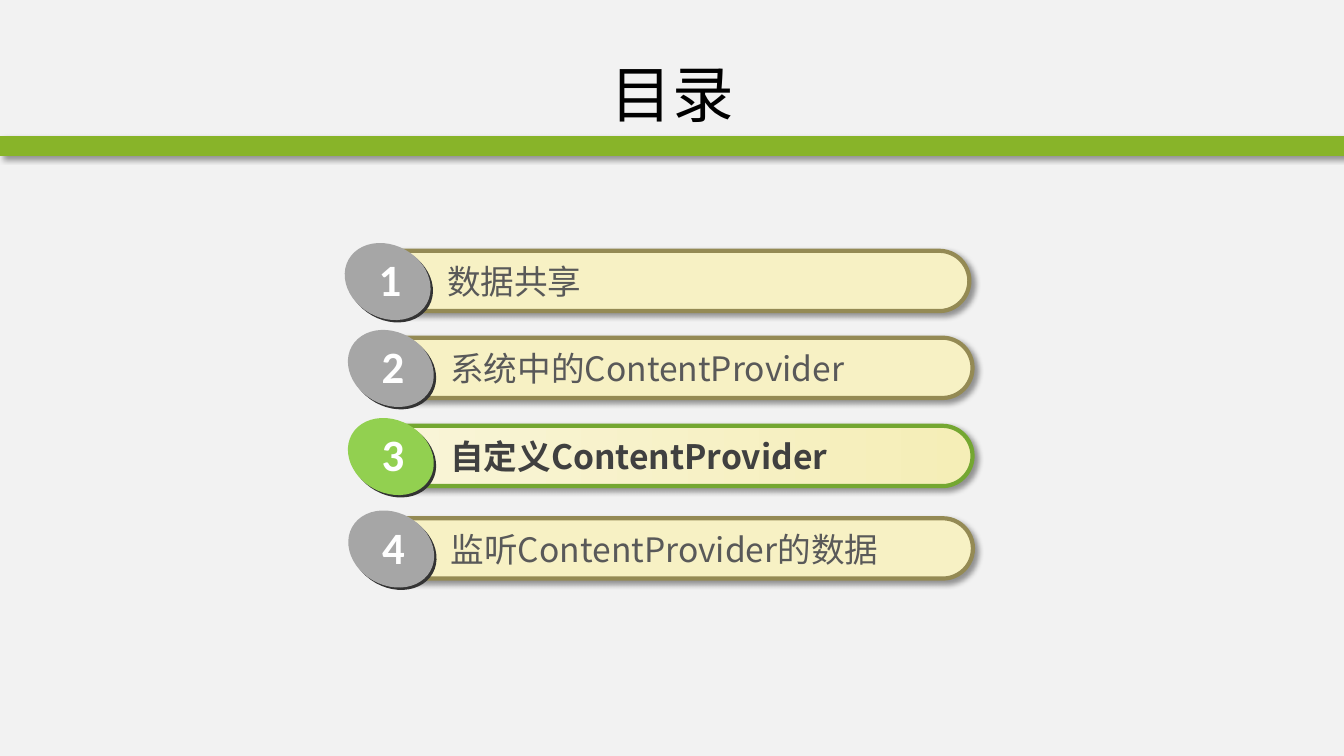
from lxml import etree
from pptx import Presentation
from pptx.dml.color import RGBColor
from pptx.enum.shapes import MSO_SHAPE as Shape
from pptx.enum.text import MSO_ANCHOR as Anchor, MSO_AUTO_SIZE as AutoSize, PP_ALIGN as Align
from pptx.oxml.ns import qn
from pptx.util import Cm, Pt

BACKGROUND = RGBColor(0xF2, 0xF2, 0xF2)
BAR_GREEN = RGBColor(0x88, 0xB4, 0x29)
CREAM = RGBColor(0xF7, 0xF1, 0xC4)
CREAM_LIGHT = RGBColor(0xF9, 0xF5, 0xD9)
CREAM_DARK = RGBColor(0xF5, 0xEE, 0xB7)
OLIVE = RGBColor(0x94, 0x8A, 0x54)
ACTIVE_LINE = RGBColor(0x74, 0xA7, 0x31)
ACTIVE_BADGE = RGBColor(0x92, 0xD0, 0x50)
BADGE_GRAY = RGBColor(0xA6, 0xA6, 0xA6)
BADGE_EDGE = RGBColor(0x33, 0x33, 0x33)
TEXT_GRAY = RGBColor(0x59, 0x59, 0x59)
TEXT_DARK = RGBColor(0x40, 0x40, 0x40)
BLACK = RGBColor(0, 0, 0)
WHITE = RGBColor(0xFF, 0xFF, 0xFF)

CHINESE_FONT = "Noto Sans CJK SC"
NORMAL = {"fill": [CREAM], "line": OLIVE, "badge": BADGE_GRAY, "text": TEXT_GRAY, "bold": False}
ACTIVE = {"fill": [CREAM_LIGHT, CREAM_DARK], "line": ACTIVE_LINE, "badge": ACTIVE_BADGE,
          "text": TEXT_DARK, "bold": True}
TOPICS = [
    ("数据共享", 9.19, 6.32, 11.66, NORMAL),
    ("系统中的ContentProvider", 9.27, 8.51, 12.45, NORMAL),
    ("自定义ContentProvider", 9.27, 10.73, 11.66, ACTIVE),
    ("监听ContentProvider的数据", 9.28, 13.06, 12.93, NORMAL),
]


def write_text(frame, text, color, **formats):
    para = frame.paragraphs[0]
    span = para.add_run()
    span.text = text
    span.font.color.rgb = color
    for name, value in formats.items():
        setattr(span.font, name, value)
    east_asian = etree.SubElement(span.font._element, qn("a:ea"))
    east_asian.set("typeface", formats["name"])
    return para


def add_text(shapes, text, left, top, width, height, color, wrap=True, **formats):
    box = shapes.add_textbox(Cm(left), Cm(top), Cm(width), Cm(height))
    box.text_frame.word_wrap = wrap
    box.text_frame.auto_size = AutoSize.SHAPE_TO_FIT_TEXT
    write_text(box.text_frame, text, color, **formats)


def add_panel(shapes, kind, left, top, width, height, colors, line=None):
    panel = shapes.add_shape(kind, Cm(left), Cm(top), Cm(width), Cm(height))
    panel.shadow.inherit = False
    if len(colors) == 1:
        panel.fill.solid()
        panel.fill.fore_color.rgb = colors[0]
    else:
        panel.fill.gradient()
        panel.fill.gradient_angle = 0
        for stop, color in zip(panel.fill.gradient_stops, colors):
            stop.color.rgb = color
    if line is None:
        panel.line.fill.background()
    else:
        panel.line.color.rgb = line
        panel.line.width = Pt(3)
    return panel


def add_shadow(panel):
    effects = panel._element.spPr.find(qn("a:effectLst"))
    shadow = etree.SubElement(effects, qn("a:outerShdw"), blurRad=str(Pt(4)), dist=str(Pt(3)),
                              dir="2700000", algn="tl", rotWithShape="0")
    color = etree.SubElement(shadow, qn("a:srgbClr"), val=str(BLACK))
    etree.SubElement(color, qn("a:alpha"), val="40000")


def add_topic(page, number, topic):
    text, left, top, text_width, style = topic
    shapes = page.shapes.add_group_shape().shapes
    pill = add_panel(shapes, Shape.ROUNDED_RECTANGLE, left, top, 15.24, 1.52,
                     style["fill"], style["line"])
    pill.adjustments[0] = 0.5
    add_shadow(pill)
    add_text(shapes, text, left + 1.83, top + 0.14, text_width, 1.28, style["text"],
             name=CHINESE_FONT, size=Pt(24), bold=style["bold"])
    for shift_x, shift_y, color in [(-0.49, -0.08, BADGE_EDGE), (-0.55, -0.14, style["badge"])]:
        badge = add_panel(shapes, Shape.OVAL, left + shift_x, top + shift_y, 2.26, 1.83, [color])
        badge.rotation = 29.3
    add_text(shapes, str(number), left + 0.1, top - 0.1, 1.09, 1.63, WHITE, wrap=False,
             name="Calibri", size=Pt(32), bold=True)


def add_title(page, text):
    title = page.shapes.title
    place = {"left": Cm(1.7), "top": Cm(0.76), "width": Cm(30.48), "height": Cm(3.18)}
    for name, value in place.items():
        setattr(title, name, value)
    title.text_frame.vertical_anchor = Anchor.MIDDLE
    para = write_text(title.text_frame, text, BLACK, name=CHINESE_FONT, size=Pt(44))
    para.alignment = Align.CENTER


def main():
    deck = Presentation()
    deck.slide_width, deck.slide_height = Cm(33.87), Cm(19.05)
    page = deck.slides.add_slide(deck.slide_layouts[5])
    page.background.fill.solid()
    page.background.fill.fore_color.rgb = BACKGROUND
    add_shadow(add_panel(page.shapes, Shape.RECTANGLE, 0, 3.43, 33.87, 0.5, [BAR_GREEN]))
    add_title(page, "目录")
    for number, topic in enumerate(TOPICS, 1):
        add_topic(page, number, topic)
    deck.save("out.pptx")


if __name__ == "__main__":
    main()
